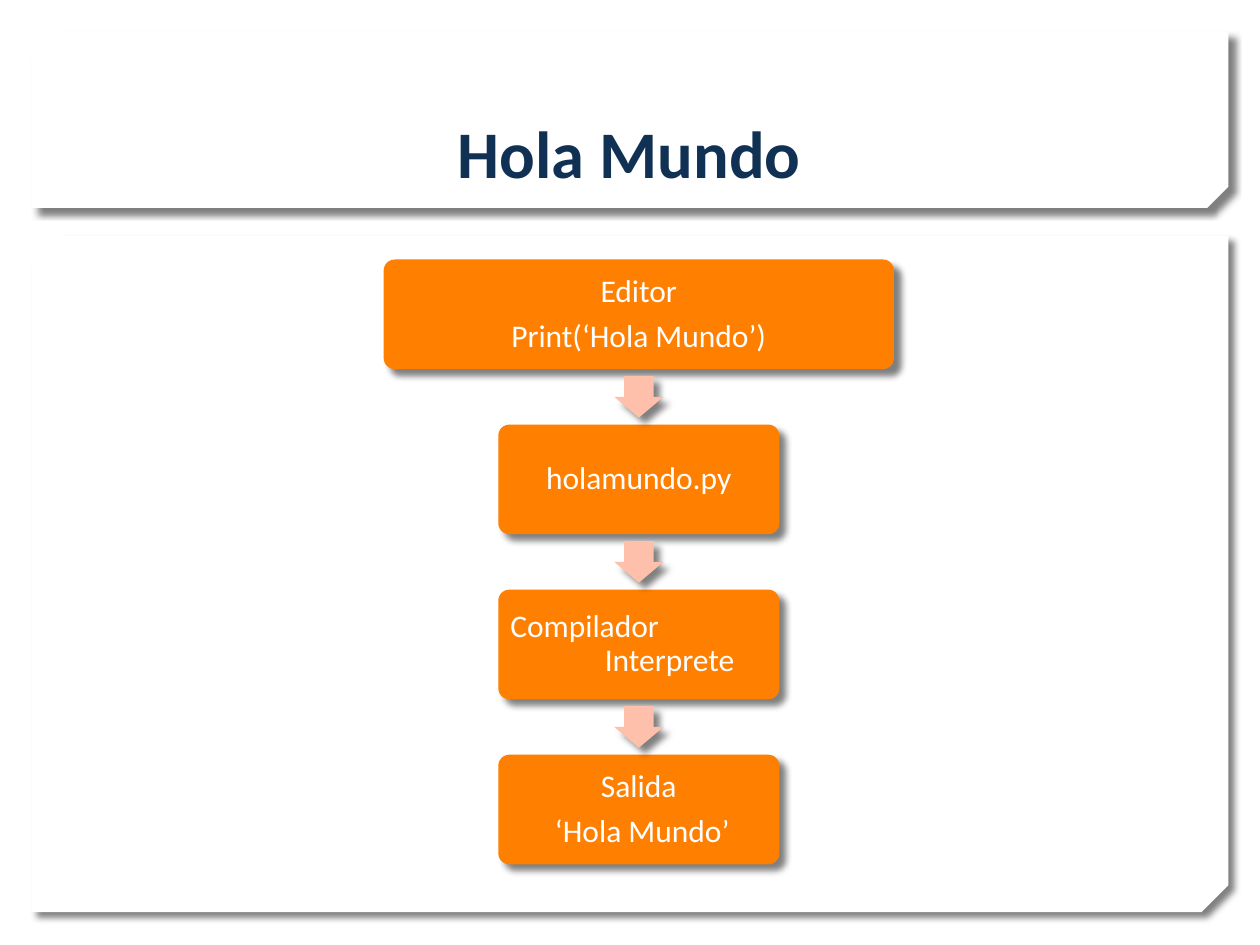
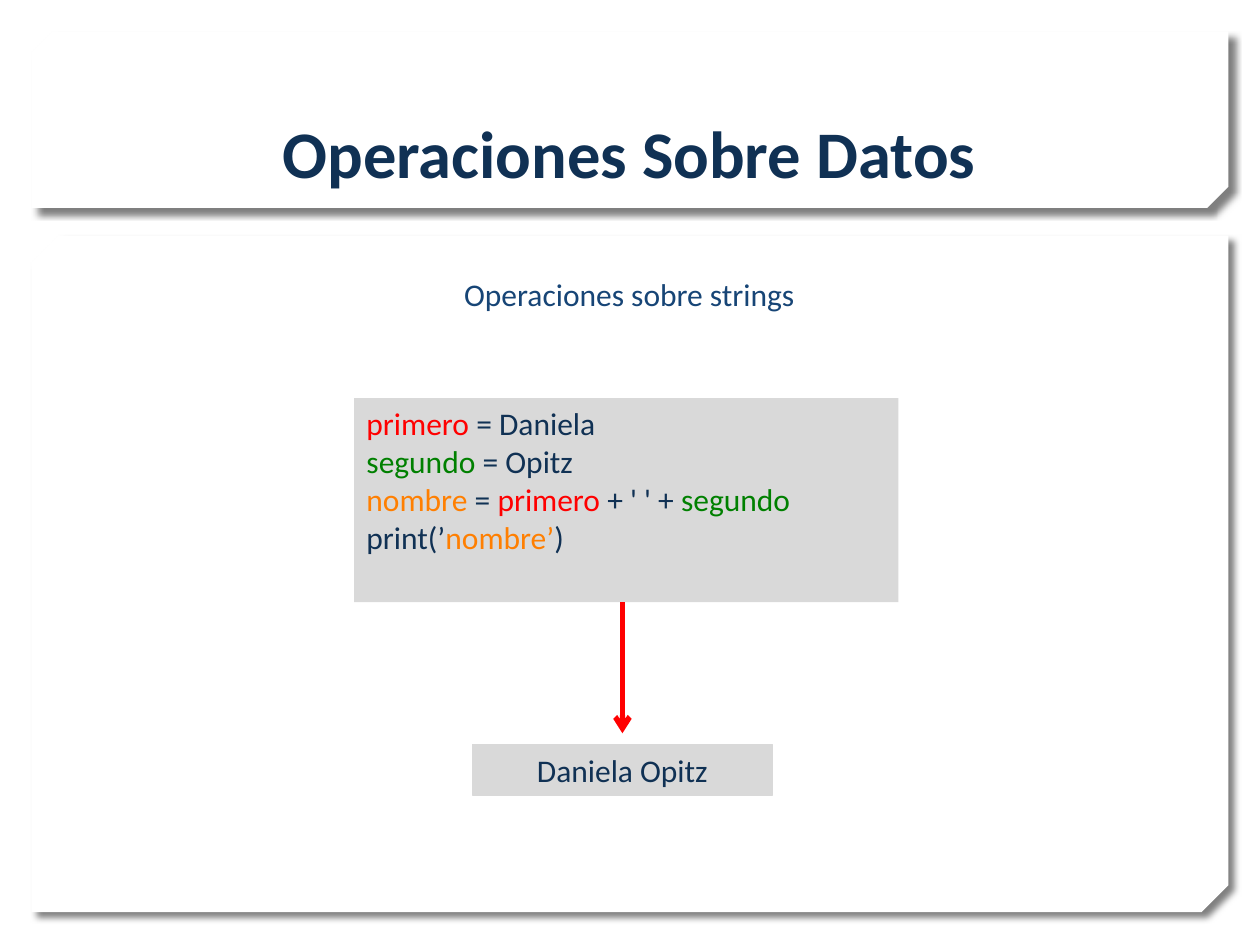
"""Build two Python lesson slides: a program flow and a string operation."""
import pptx
import pptx.dml.color
import pptx.enum.shapes
import pptx.enum.text
import pptx.oxml
import pptx.oxml.ns
import pptx.oxml.xmlchemy
import pptx.util

Inches, Pt = pptx.util.Inches, pptx.util.Pt
SHAPES = pptx.enum.shapes.MSO_SHAPE
ANCHOR = pptx.enum.text.MSO_ANCHOR
ALIGN = pptx.enum.text.PP_ALIGN
qn = pptx.oxml.ns.qn
new_element = pptx.oxml.xmlchemy.OxmlElement

FONT = "Calibri"
WHITE, NAVY, BLUE = "FFFFFF", "103154", "174576"
ORANGE, PINK, GREY = "FF7F01", "FFC0AB", "D9D9D9"
RED, GREEN = "FF0000", "008000"

PANELS = [((0.25, 1.87, 9.5, 5.37), 0.04), ((0.25, 0.25, 9.5, 1.4), 0.12)]
TITLE_AREA = (0.85, 0.32, 8.29, 1.25)
BODY_AREA = (0.85, 2.13, 8.29, 1.99)

FLOW_TITLE = "Hola Mundo"
FLOW_STEPS = [
    (4.05, ["Editor", "Print(‘Hola Mundo’)"]),
    (2.23, ["holamundo.py"]),
    (2.23, ["Compilador", "Interprete"]),
    (2.23, ["Salida", " ‘Hola Mundo’"]),
]
STAGGERED_STEP = 2
FLOW_CENTER, FLOW_TOP, FLOW_PITCH, STEP_HEIGHT = 5.07, 2.06, 1.31, 0.87
ARROW_WIDTH, ARROW_HEIGHT = 0.39, 0.33

DATA_TITLE = "Operaciones Sobre Datos"
DATA_INTRO = "Operaciones sobre strings"
CODE_LINES = [
    [("primero ", RED), ("= Daniela", NAVY)],
    [("segundo ", GREEN), ("= Opitz", NAVY)],
    [("nombre ", ORANGE), ("= ", NAVY), ("primero", RED), (" + ' ' + ", NAVY), ("segundo", GREEN)],
    [("print(’", NAVY), ("nombre’", ORANGE), (")", NAVY)],
]
CODE_AREA = (2.81, 3.16, 4.32, 1.62)
RESULT_LINES = [[("Daniela Opitz", NAVY)]]
RESULT_AREA = (3.75, 5.91, 2.38, 0.4)
RESULT_ARROW = (4.94, 4.78, 4.94, 5.82)


def rgb(value):
    """Return the colour for a hex string."""
    return pptx.dml.color.RGBColor.from_string(value)


def lengths(values):
    """Convert numbers to inches."""
    return [Inches(value) for value in values]


def add_shadow(shape):
    """Give a shape a soft shadow towards the lower right."""
    namespace = pptx.oxml.ns.nsdecls("a")
    shadow = pptx.oxml.parse_xml(
        f'<a:outerShdw {namespace} blurRad="{Pt(4)}" dist="{Pt(5)}" dir="2700000" '
        'algn="tl" rotWithShape="0"><a:srgbClr val="000000"><a:alpha val="50000"/>'
        "</a:srgbClr></a:outerShdw>"
    )
    shape.element.spPr.find(qn("a:effectLst")).append(shadow)


def add_box(page, kind, area, color, adjustments=(), shadow=False):
    """Add a filled preset shape without an outline."""
    box = page.shapes.add_shape(kind, *lengths(area))
    for index, value in enumerate(adjustments):
        box.adjustments[index] = value
    box.fill.solid()
    box.fill.fore_color.rgb = rgb(color)
    box.line.fill.background()
    box.shadow.inherit = False
    if shadow:
        add_shadow(box)
    return box


def write(box, lines, size=18, align=ALIGN.CENTER, anchor=ANCHOR.TOP, bold=False):
    """Write lines of coloured spans and return their paragraphs."""
    frame = box.text_frame
    frame.word_wrap = True
    frame.vertical_anchor = anchor
    for index, spans in enumerate(lines):
        para = frame.add_paragraph() if index else frame.paragraphs[0]
        para.alignment = align
        for text, color in spans:
            span = para.add_run()
            span.text = text
            span.font.name = FONT
            span.font.size = Pt(size)
            span.font.bold = bold
            span.font.color.rgb = rgb(color)
    return frame.paragraphs


def place(holder, area):
    """Move a placeholder to an area."""
    holder.left, holder.top, holder.width, holder.height = lengths(area)


def add_page(deck, layout, title):
    """Add a slide with its title."""
    page = deck.slides.add_slide(deck.slide_layouts.get_by_name(layout))
    place(page.shapes.title, TITLE_AREA)
    write(page.shapes.title, [[(title, NAVY)]], 38, anchor=ANCHOR.BOTTOM, bold=True)
    return page


def move_panels_to_master(deck, page):
    """Build the two white panels and hand them to the slide master."""
    tree = deck.slide_master.element.cSld.spTree
    for position, (area, snip) in enumerate(PANELS, 2):
        panel = add_box(page, SHAPES.SNIP_2_DIAG_RECTANGLE, area, WHITE, (snip, 0), True)
        tree.insert(position, panel.element)


def add_step(page, index, width, texts):
    """Add one step of the flow."""
    area = (FLOW_CENTER - width / 2, FLOW_TOP + index * FLOW_PITCH, width, STEP_HEIGHT)
    box = add_box(page, SHAPES.ROUNDED_RECTANGLE, area, ORANGE, (0.1,), True)
    frame = box.text_frame
    frame.margin_left = frame.margin_right = Inches(0.07)
    frame.margin_top = frame.margin_bottom = Inches(0.07)
    paras = write(box, [[(text, WHITE)] for text in texts], anchor=ANCHOR.MIDDLE)
    staggered = index == STAGGERED_STEP
    for row, para in enumerate(paras):
        para.line_spacing = 0.9
        para.space_after = Pt(0 if staggered else 6.3)
        if staggered:
            para.alignment = ALIGN.LEFT
            para._p.get_or_add_pPr().set("marL", str(Inches(0.75 * row)))


def build_flow(deck):
    """Build the flow from editor to output."""
    page = add_page(deck, "Title Only", FLOW_TITLE)
    move_panels_to_master(deck, page)
    gap = FLOW_PITCH - STEP_HEIGHT
    for index, (width, texts) in enumerate(FLOW_STEPS):
        add_step(page, index, width, texts)
        if index:
            middle = FLOW_TOP + index * FLOW_PITCH - gap / 2
            area = (FLOW_CENTER - ARROW_WIDTH / 2, middle - ARROW_HEIGHT / 2, ARROW_WIDTH, ARROW_HEIGHT)
            add_box(page, SHAPES.DOWN_ARROW, area, PINK, (0.6, 0.5), True)


def add_arrow(page, ends):
    """Add a red arrow between two points."""
    arrow = page.shapes.add_connector(pptx.enum.shapes.MSO_CONNECTOR.STRAIGHT, *lengths(ends))
    arrow.line.color.rgb = rgb(RED)
    arrow.line.width = Pt(3)
    properties = arrow.element.spPr
    head = new_element("a:tailEnd")
    head.set("type", "arrow")
    properties.find(qn("a:ln")).append(head)
    properties.append(new_element("a:effectLst"))


def build_data(deck):
    """Build the string operation with its result."""
    page = add_page(deck, "Title and Content", DATA_TITLE)
    body = page.placeholders[1]
    place(body, BODY_AREA)
    para = write(body, [[(DATA_INTRO, BLUE)]])[0]
    para.space_before = Pt(20)
    settings = para._p.get_or_add_pPr()
    settings.set("marL", "0")
    settings.set("indent", "0")
    settings.append(new_element("a:buNone"))
    write(add_box(page, SHAPES.RECTANGLE, CODE_AREA, GREY), CODE_LINES, align=ALIGN.LEFT)
    result = add_box(page, SHAPES.RECTANGLE, RESULT_AREA, GREY)
    result.line.color.rgb = rgb(GREY)
    result.line.width = Pt(0.75)
    write(result, RESULT_LINES)
    add_arrow(page, RESULT_ARROW)


def main():
    """Build and save the deck."""
    deck = pptx.Presentation()
    deck.slide_width, deck.slide_height = lengths((10, 7.5))
    build_flow(deck)
    build_data(deck)
    deck.save("out.pptx")


if __name__ == "__main__":
    main()
